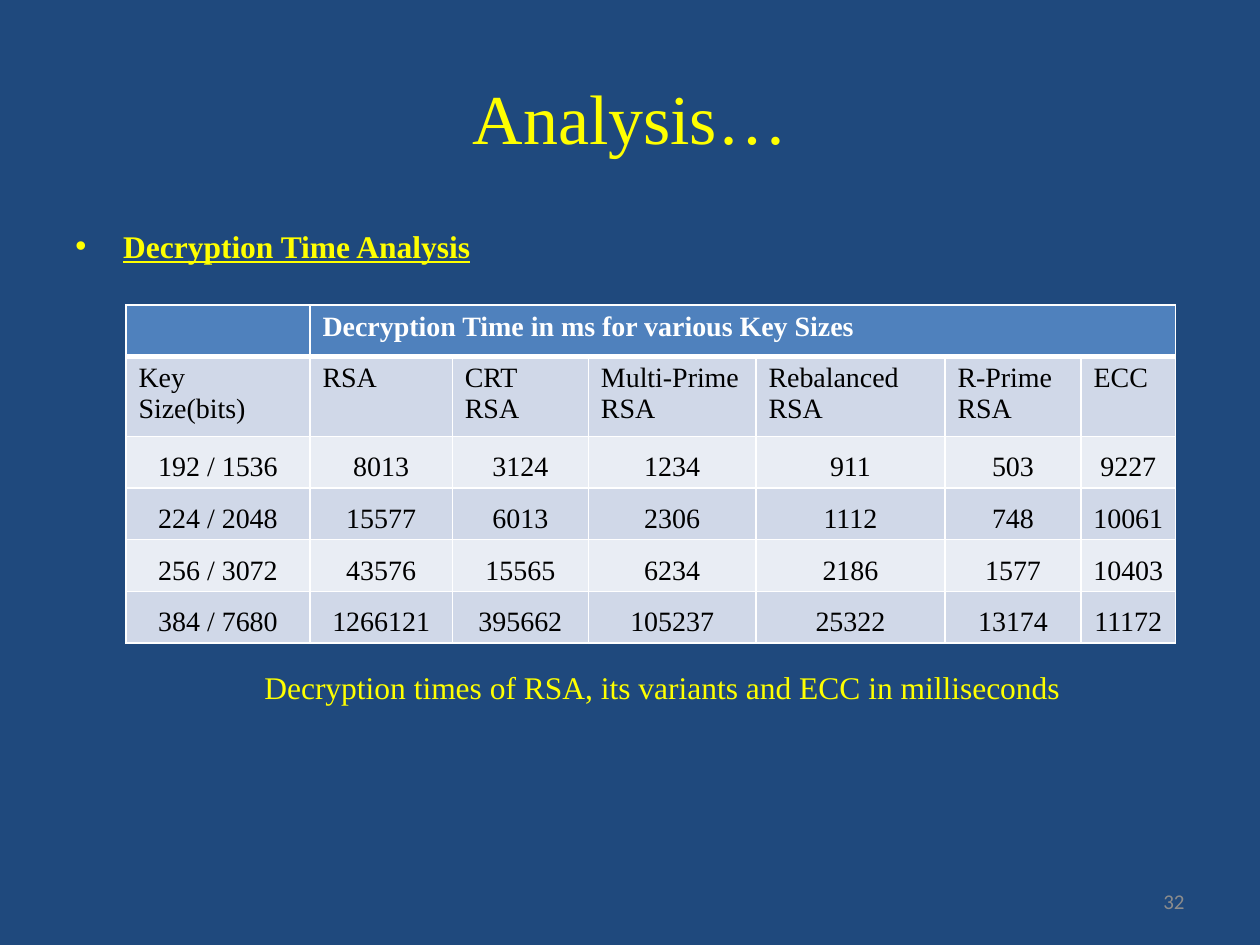
from lxml.etree import SubElement
from pptx import Presentation
from pptx.dml.color import RGBColor
from pptx.enum.text import MSO_ANCHOR as Anchor, PP_ALIGN as Align
from pptx.oxml.ns import qn
from pptx.util import Inches, Pt

COLORS = {
    "background": "1F497D",
    "accent": "FFFF00",
    "header": "4F81BD",
    "band_dark": "D0D8E8",
    "band_light": "E9EDF4",
    "white": "FFFFFF",
    "black": "000000",
    "number": "8C8C8C",
}
SERIF = "Times New Roman"
COLUMN_WIDTHS = [1.46, 1.13, 1.08, 1.33, 1.5, 1.08, 0.75]
ROW_HEIGHT = 0.41
TABLE_HEADER = "Decryption Time in ms for various Key Sizes"
TABLE_ROWS = [
    ["Key Size(bits)", "RSA", "CRT RSA", "Multi-Prime RSA",
     "Rebalanced RSA", "R-Prime RSA", "ECC"],
    ["192 / 1536", "8013", "3124", "1234", "911", "503", "9227"],
    ["224 / 2048", "15577", "6013", "2306", "1112", "748", "10061"],
    ["256 / 3072", "43576", "15565", "6234", "2186", "1577", "10403"],
    ["384 / 7680", "1266121", "395662", "105237", "25322", "13174", "11172"],
]


def rgb(name):
    return RGBColor.from_string(COLORS[name])


def write(text_frame, text, size, color, font=SERIF, bold=False, align=None):
    text_frame.text = text
    paragraph = text_frame.paragraphs[0]
    paragraph.alignment = align
    for run in paragraph.runs:
        run.font.name = font
        run.font.size = Pt(size)
        run.font.bold = bold
        run.font.color.rgb = rgb(color)
    return paragraph


def add_text(slide, box, text, size, color, anchor=Anchor.TOP, **style):
    shape = slide.shapes.add_textbox(*map(Inches, box))
    shape.text_frame.word_wrap = True
    shape.text_frame.vertical_anchor = anchor
    return write(shape.text_frame, text, size, color, **style)


def add_title(slide, text):
    title = slide.shapes.title
    title.left, title.top, title.width, title.height = map(Inches, (0.5, 0.3, 9, 1.25))
    title.text_frame.vertical_anchor = Anchor.MIDDLE
    write(title.text_frame, text, 40, "accent", align=Align.CENTER)


def add_bullet_heading(slide, box, text):
    paragraph = add_text(slide, box, text, 18, "accent", bold=True)
    paragraph.runs[0].font.underline = True
    paragraph.space_before = Pt(3.6)
    properties = paragraph._p.get_or_add_pPr()
    properties.set("marL", str(Inches(0.38)))
    properties.set("indent", str(-Inches(0.38)))
    SubElement(properties, qn("a:buFont"), typeface="Arial")
    SubElement(properties, qn("a:buChar"), char="•")


def set_borders(cell, top=1, bottom=1):
    properties = cell._tc.get_or_add_tcPr()
    for side, width in (("L", 1), ("R", 1), ("T", top), ("B", bottom)):
        line = SubElement(properties, qn(f"a:ln{side}"), w=str(Pt(width)))
        fill = SubElement(line, qn("a:solidFill"))
        SubElement(fill, qn("a:srgbClr"), val=COLORS["white"])


def fill_cell(cell, color):
    cell.fill.solid()
    cell.fill.fore_color.rgb = rgb(color)


def write_value(cell, text):
    cell.margin_left = cell.margin_right = Inches(0.07)
    cell.margin_top = cell.margin_bottom = 0
    paragraph = write(cell.text_frame, text, 16, "black", align=Align.CENTER)
    paragraph.line_spacing = 1.5
    paragraph.space_after = Pt(10)


def add_timing_table(slide, left, top):
    row_count, column_count = len(TABLE_ROWS) + 1, len(COLUMN_WIDTHS)
    table = slide.shapes.add_table(
        row_count, column_count, Inches(left), Inches(top),
        Inches(sum(COLUMN_WIDTHS)), Inches(row_count * ROW_HEIGHT)).table
    for column, width in zip(table.columns, COLUMN_WIDTHS):
        column.width = Inches(width)
    for row in table.rows:
        row.height = Inches(ROW_HEIGHT)

    for cell in table.rows[0].cells:
        set_borders(cell, bottom=3)
        fill_cell(cell, "header")
    table.cell(0, 1).merge(table.cell(0, column_count - 1))
    write(table.cell(0, 1).text_frame, TABLE_HEADER, 16, "white", bold=True)

    for row_index, values in enumerate(TABLE_ROWS, start=1):
        for column_index, value in enumerate(values):
            cell = table.cell(row_index, column_index)
            set_borders(cell, top=3 if row_index == 1 else 1)
            fill_cell(cell, "band_dark" if row_index % 2 else "band_light")
            if row_index == 1:
                write(cell.text_frame, value, 16, "black")
            else:
                write_value(cell, value)


def main():
    presentation = Presentation()
    presentation.slide_width = Inches(10)
    presentation.slide_height = Inches(7.5)
    slide = presentation.slides.add_slide(presentation.slide_layouts.get_by_name("Title Only"))
    slide.background.fill.solid()
    slide.background.fill.fore_color.rgb = rgb("background")

    add_title(slide, "Analysis…")
    add_bullet_heading(slide, (0.5, 1.75, 9, 4.95), "Decryption Time Analysis")
    add_timing_table(slide, 1, 2.42)
    add_text(slide, (2, 5.25, 6.58, 0.4),
             "Decryption times of RSA, its variants and ECC in milliseconds", 18, "accent")
    add_text(slide, (7.17, 6.95, 2.33, 0.4), "32", 12, "number",
             anchor=Anchor.MIDDLE, font="Calibri", align=Align.RIGHT)
    presentation.save("out.pptx")


if __name__ == "__main__":
    main()
